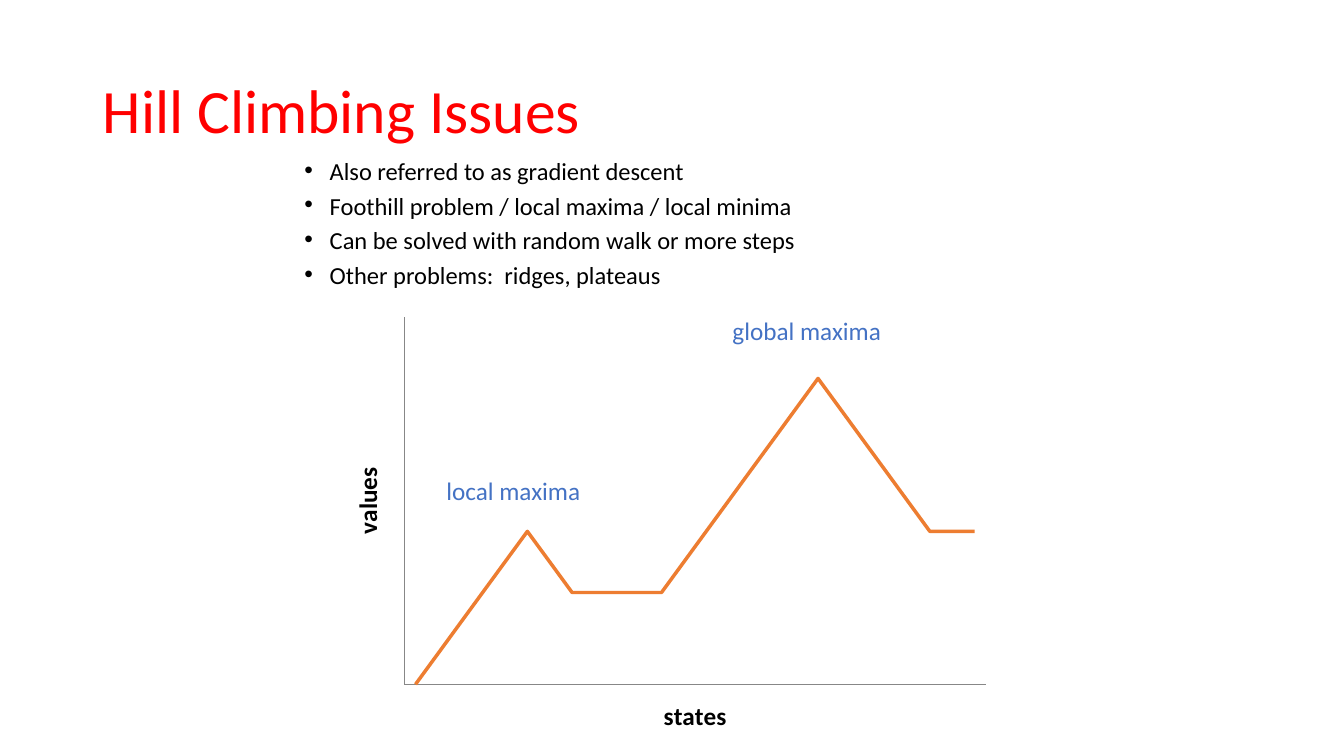
from dataclasses import dataclass

from lxml import etree
from pptx import Presentation
from pptx import util as u
from pptx.chart.data import CategoryChartData
from pptx.dml.color import RGBColor
from pptx.enum import chart as ch, text
from pptx.oxml import ns

TITLE = ("Hill Climbing Issues", (2.34, 1.02, 29.21, 3.68))
ISSUES = [
    "Also referred to as gradient descent",
    "Foothill problem / local maxima / local minima",
    "Can be solved with random walk or more steps",
    "Other problems:  ridges, plateaus",
]
ISSUES_BOX = (7.42, 4.01, 18.85, 3.61)
PEAK_LABELS = [
    ("local maxima", (11.0, 11.86, 4.01, 1.02)),
    ("global maxima", (18.21, 7.82, 4.45, 1.02)),
]
CHART_BOX = (8.26, 7.77, 16.94, 11.28)
PLOT_AREA = {"x": 0.114, "y": 0.02, "w": 0.865, "h": 0.82}
AXIS_TITLES = ("states", "values")
VALUE_MAX = 120
# Turning points of the landscape: (state, value)
TURNS = [(1, 0), (6, 50), (8, 30), (12, 30), (19, 100), (24, 50), (26, 50)]


@dataclass(frozen=True)
class Theme:
    font: str = "Calibri"
    title: str = "FF0000"
    body: str = "000000"
    label: str = "4472C4"
    curve: str = "ED7D31"
    axis: str = "878787"
    title_size: float = 44
    body_size: float = 17.5
    chart_size: float = 18


THEME = Theme()


def style_font(font, size, color, bold=None):
    font.name = THEME.font
    font.size = u.Pt(size)
    font.bold = bold
    font.color.rgb = RGBColor.from_string(color)


def add_bullet(p, indent):
    pPr = p._p.get_or_add_pPr()
    pPr.set("marL", str(indent))
    pPr.set("indent", str(-indent))
    etree.SubElement(pPr, ns.qn("a:buFont")).set("typeface", "Arial")
    etree.SubElement(pPr, ns.qn("a:buChar")).set("char", "•")


def add_text(slide, lines, box, size, color, anchor=text.MSO_ANCHOR.TOP,
             spacing=1.0, before=0, bullets=False):
    tf = slide.shapes.add_textbox(*map(u.Cm, box)).text_frame
    tf.word_wrap = True
    tf.vertical_anchor = anchor
    for i, line in enumerate(lines):
        p = tf.add_paragraph() if i else tf.paragraphs[0]
        p.line_spacing = spacing
        if i:
            p.space_before = u.Pt(before)
        if bullets:
            add_bullet(p, u.Cm(0.64))
        r = p.add_run()
        r.text = line
        style_font(r.font, size, color)


def landscape():
    """Values at every state, interpolated between the turning points."""
    values = [TURNS[0][1]]
    for (x0, y0), (x1, y1) in zip(TURNS, TURNS[1:]):
        values += [y0 + (y1 - y0) * i // (x1 - x0)
                   for i in range(1, x1 - x0 + 1)]
    return values


def place_plot(chart):
    """Fix the inner plot area as fractions of the chart."""
    plot_area = chart._chartSpace.chart.plotArea
    for old in plot_area.findall(ns.qn("c:layout")):
        plot_area.remove(old)
    layout = etree.Element(ns.qn("c:layout"))
    manual = etree.SubElement(layout, ns.qn("c:manualLayout"))
    settings = [("layoutTarget", "inner"), ("xMode", "edge"), ("yMode", "edge")]
    for tag, value in settings + list(PLOT_AREA.items()):
        etree.SubElement(manual, ns.qn("c:" + tag)).set("val", str(value))
    plot_area.insert(0, layout)


def style_axis(axis, title):
    axis.has_major_gridlines = False
    axis.major_tick_mark = axis.minor_tick_mark = ch.XL_TICK_MARK.NONE
    axis.tick_label_position = ch.XL_TICK_LABEL_POSITION.NONE
    axis.format.line.color.rgb = RGBColor.from_string(THEME.axis)
    axis.format.line.width = u.Pt(0.75)
    p = axis.axis_title.text_frame.paragraphs[0]
    r = p.add_run()
    r.text = title
    style_font(r.font, THEME.chart_size, THEME.body, bold=True)


def add_landscape_chart(slide):
    values = landscape()
    data = CategoryChartData()
    data.categories = [str(n) for n in range(1, len(values) + 1)]
    data.add_series("Series 1", values)
    chart = slide.shapes.add_chart(
        ch.XL_CHART_TYPE.LINE, *map(u.Cm, CHART_BOX), data).chart
    chart.has_legend = chart.has_title = False
    style_font(chart.font, THEME.chart_size, THEME.body)
    plot = chart.plots[0]
    plot.vary_by_categories = False
    curve = plot.series[0]
    curve.smooth = False
    curve.marker.style = ch.XL_MARKER_STYLE.NONE
    curve.format.line.color.rgb = RGBColor.from_string(THEME.curve)
    curve.format.line.width = u.Pt(2.5)
    chart.value_axis.minimum_scale = 0
    chart.value_axis.maximum_scale = VALUE_MAX
    for axis, title in zip((chart.category_axis, chart.value_axis), AXIS_TITLES):
        style_axis(axis, title)
    place_plot(chart)


def main():
    prs = Presentation()
    prs.slide_width, prs.slide_height = u.Cm(33.87), u.Cm(19.05)
    slide = prs.slides.add_slide(prs.slide_layouts[6])
    title, title_box = TITLE
    add_text(slide, [title], title_box, THEME.title_size, THEME.title,
             anchor=text.MSO_ANCHOR.MIDDLE, spacing=0.9)
    add_text(slide, ISSUES, ISSUES_BOX, THEME.body_size, THEME.body,
             spacing=0.7, before=10, bullets=True)
    add_landscape_chart(slide)
    for label, box in PEAK_LABELS:
        add_text(slide, [label], box, THEME.chart_size, THEME.label)
    prs.save("out.pptx")


if __name__ == "__main__":
    main()
